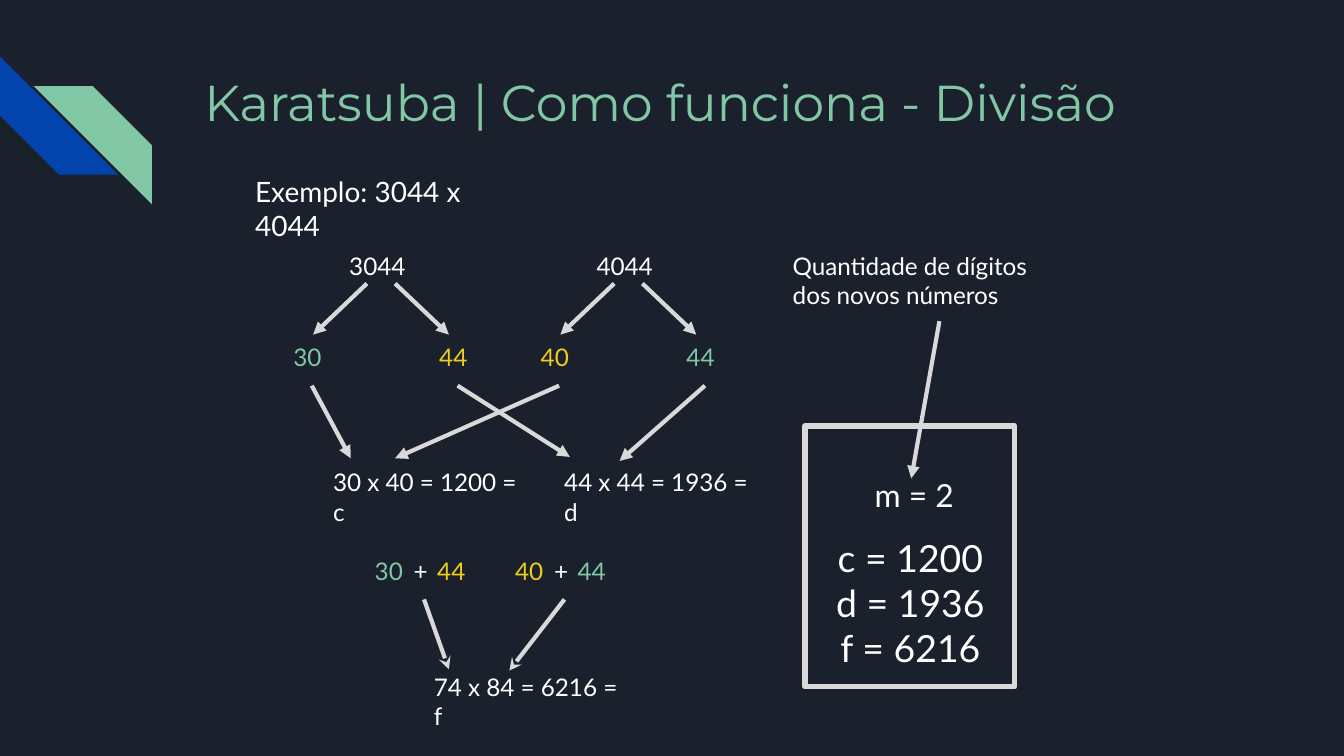
from lxml import etree
from pptx import Presentation
from pptx.dml.color import RGBColor
from pptx.enum.shapes import MSO_CONNECTOR, MSO_SHAPE
from pptx.enum.text import MSO_ANCHOR, MSO_AUTO_SIZE, PP_ALIGN
from pptx.oxml.ns import qn
from pptx.util import Inches, Pt

DARK = RGBColor(0x1B, 0x21, 0x2C)
BLUE = RGBColor(0x01, 0x45, 0xAC)
GREEN = RGBColor(0x82, 0xC7, 0xA5)
GOLD = RGBColor(0xEE, 0xCE, 0x1A)
WHITE = RGBColor(0xFF, 0xFF, 0xFF)
GREY = RGBColor(0xD9, 0xD9, 0xD9)

STRIPE, RECT = MSO_SHAPE.DIAGONAL_STRIPE, MSO_SHAPE.RECTANGLE
STRAIGHT = MSO_CONNECTOR.STRAIGHT
TOP, MIDDLE = MSO_ANCHOR.TOP, MSO_ANCHOR.MIDDLE
LEFT, CENTER = PP_ALIGN.LEFT, PP_ALIGN.CENTER
NO_FIT = MSO_AUTO_SIZE.NONE

CELL = Inches(0.1)  # one column or row of the grid
BOTTOM = 2  # connection site


def grid(*cells):
    return [round(cell * CELL) for cell in cells]


class Board:
    """Style and current slide; lengths are in grid cells."""

    def __init__(self, slide):
        self.shapes = slide.shapes
        fill = slide.background.fill
        fill.solid()
        fill.fore_color.rgb = DARK

    def style(self, shape, text, size, color, font="Lato", align=LEFT, anchor=TOP):
        frame = shape.text_frame
        frame.text = text
        frame.word_wrap = True
        frame.auto_size = NO_FIT
        frame.vertical_anchor = anchor
        frame.margin_left = frame.margin_right = CELL
        frame.margin_top = frame.margin_bottom = CELL
        for para in frame.paragraphs:
            para.alignment = align
            for run in para.runs:
                run.font.name = font
                run.font.size = Pt(size)
                run.font.color.rgb = color

    def title(self, text, *place):
        shape = self.shapes.title
        shape.left, shape.top, shape.width, shape.height = grid(*place)
        self.style(shape, text, 27, GREEN, "Montserrat")

    def label(self, text, *place, size=13, color=WHITE, **extra):
        box = self.shapes.add_textbox(*grid(*place))
        self.style(box, text, size, color, **extra)
        return box

    def number(self, text, col, row, color):
        return self.label(text, col, row, 4.7, 4.2, color=color)

    def stripe(self, col, row, turn, color):
        shape = self.shapes.add_shape(STRIPE, *grid(col, row, 8.8, 8.8))
        shape.shadow.inherit = False
        shape.rotation = turn
        shape.fill.solid()
        shape.fill.fore_color.rgb = color
        shape.line.fill.background()

    def frame(self, *place):
        shape = self.shapes.add_shape(RECT, *grid(*place))
        shape.shadow.inherit = False
        shape.fill.background()
        shape.line.color.rgb = GREY
        shape.line.width = Pt(3)

    def arrow(self, start, end, head="triangle"):
        """Start is a point, or a box to leave from its bottom."""
        point = start if isinstance(start, tuple) else end
        line = self.shapes.add_connector(STRAIGHT, *grid(*point, *end))
        if point is not start:
            line.begin_connect(start, BOTTOM)
        line.line.color.rgb = GREY
        line.line.width = Pt(2.25)
        props = line._element.spPr
        etree.SubElement(props.find(qn("a:ln")), qn("a:tailEnd"), type=head)
        etree.SubElement(props, qn("a:effectLst"))


def split(board, text, col, high, low, colors):
    """Draw a number above its two halves and return the halves' boxes."""
    board.label(text, col, 17.7, 6.5, 4)
    board.arrow((col + 4.4, 21.1), (col + 8.4, 24.9))
    board.arrow((col + 2.3, 21.1), (col - 1.7, 24.9))
    return (board.number(high, col - 4.15, 24.5, colors[0]),
            board.number(low, col + 6.7, 24.5, colors[1]))


def add(board, col, high, low, colors, end):
    """Draw a sum of two halves with an arrow to the product."""
    board.number(high, col, 40.4, colors[0])
    board.number(low, col + 4.65, 40.4, colors[1])
    plus = board.label("+", col + 2.9, 40.4, 3.5, 4.2)
    board.arrow(plus, end, "stealth")


def main():
    deck = Presentation()
    deck.slide_width, deck.slide_height = Inches(10), Inches(10 * 9 / 16)
    board = Board(deck.slides.add_slide(deck.slide_layouts[5]))

    board.stripe(0, 4.2, 270, BLUE)
    board.stripe(2.5, 6.4, 90, GREEN)
    board.title("Karatsuba | Como funciona - Divisão", 14.2, 4.3, 77, 10)
    board.label("Exemplo: 3044 x 4044", 18, 12, 22.3, 4.5, size=15)

    a_high, a_low = split(board, "3044", 25, "30", "44", (GREEN, GOLD))
    b_high, b_low = split(board, "4044", 43.4, "40", "44", (GOLD, GREEN))

    board.label("30 x 40 = 1200 = c", 23.8, 33.8, 16.4, 4.2)
    board.label("44 x 44 = 1936 = d", 41, 33.8, 17, 4.2)
    board.arrow(a_high, (26.1, 34.1))
    board.arrow(b_high, (29.4, 34.1))
    board.arrow(a_low, (42.4, 34))
    board.arrow(b_low, (46.1, 34.3))

    add(board, 26.9, "30", "44", (GREEN, GOLD), (33.4, 49.8))
    add(board, 37.35, "40", "44", (GOLD, GREEN), (37.9, 49.9))
    board.label("74 x 84 = 6216 = f", 31.3, 49, 16.4, 4)

    board.label("Quantidade de dígitos dos novos números", 58, 17.7, 21.2, 6.2)
    board.frame(59.9, 31.7, 15.6, 19.4)
    board.label("m = 2", 64.1, 34.4, 8.4, 4.9, size=17)
    board.label("c = 1200\nd = 1936\nf = 6216", 58.6, 36.8, 18.3, 16.1,
                size=20, align=CENTER, anchor=MIDDLE)
    board.arrow((69.9, 23.9), (67.8, 35.6))

    deck.save("out.pptx")


if __name__ == "__main__":
    main()
